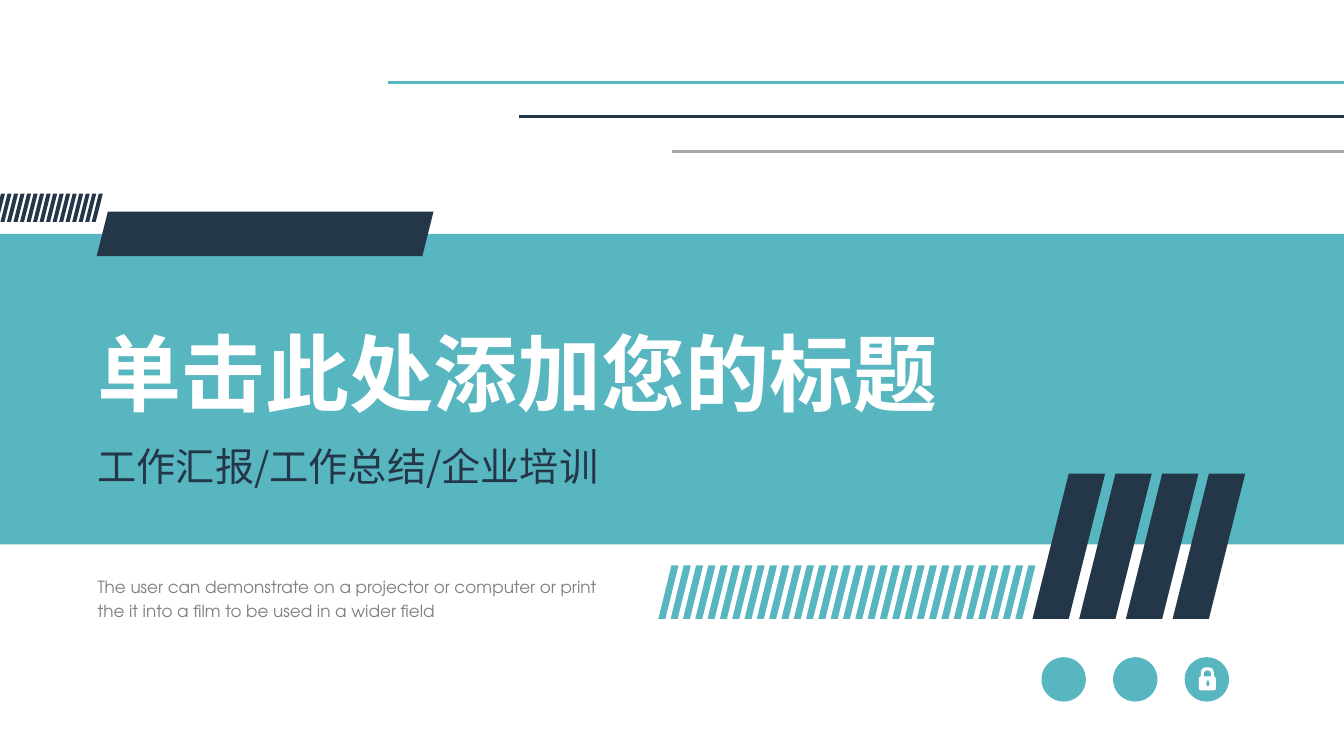
from lxml.etree import SubElement
from pptx import Presentation
from pptx.dml.color import RGBColor
from pptx.enum.shapes import MSO_CONNECTOR, MSO_SHAPE
from pptx.enum.text import MSO_AUTO_SIZE, PP_ALIGN
from pptx.oxml.ns import qn
from pptx.util import Inches, Pt

COLORS = {
    "teal": "58B6C0",
    "navy": "243748",
    "silver": "A6A6A6",
    "gray": "808080",
    "white": "FFFFFF",
}
CHINESE_FONT = "Noto Sans CJK SC"
LATIN_FONT = "TeX Gyre Adventor"
SLIDE_WIDTH, SLIDE_HEIGHT = 13.33, 7.5


def color(name):
    """Return the named colour of the palette."""
    return RGBColor.from_string(COLORS[name])


def paint(shape, fill):
    """Give a shape a flat fill without outline or shadow."""
    shape.shadow.inherit = False
    shape.fill.solid()
    shape.fill.fore_color.rgb = color(fill)
    shape.line.fill.background()


def add_block(slide, kind, box, fill):
    """Add a flat preset shape in the given box."""
    shape = slide.shapes.add_shape(kind, *(Inches(length) for length in box))
    paint(shape, fill)
    return shape


def add_stripes(slide, box, count, thickness, slant, fill):
    """Fill a box with evenly spaced slanted bars."""
    left, top, width, height = box
    pitch = (width - thickness - slant) / (count - 1)
    for index in range(count):
        foot = left + index * pitch
        corners = [
            (foot + slant, top),
            (foot + slant + thickness, top),
            (foot + thickness, top + height),
            (foot, top + height),
        ]
        points = [(Inches(x), Inches(y)) for x, y in corners]
        builder = slide.shapes.build_freeform(*points[0])
        builder.add_line_segments(points[1:], close=True)
        paint(builder.convert_to_shape(), fill)


def add_text(slide, box, text, size, font, fill, bold=False, align=None):
    """Add a one-paragraph text box."""
    text_box = slide.shapes.add_textbox(*(Inches(length) for length in box))
    frame = text_box.text_frame
    frame.word_wrap = True
    frame.auto_size = MSO_AUTO_SIZE.SHAPE_TO_FIT_TEXT
    paragraph = frame.paragraphs[0]
    paragraph.line_spacing = 1.2
    paragraph.alignment = align
    run = paragraph.add_run()
    run.text = text
    run.font.size = Pt(size)
    run.font.bold = bold
    run.font.color.rgb = color(fill)
    run.font.name = font
    SubElement(run.font._element, qn("a:ea"), typeface=font)


def add_header_lines(slide, box):
    """Draw three lines that reach the right edge of the box."""
    left, top, width, height = box
    lines = [(0, "teal"), (1.3, "navy"), (2.82, "silver")]
    for index, (indent, fill) in enumerate(lines):
        y = Inches(top + index * height / (len(lines) - 1))
        line = slide.shapes.add_connector(
            MSO_CONNECTOR.STRAIGHT, Inches(left + indent), y, Inches(left + width), y
        )
        line.line.color.rgb = color(fill)
        line.line.width = Pt(2.25)
        SubElement(line._element.spPr, qn("a:effectLst"))


def add_title_band(slide, box):
    """Draw the teal band with its tab, title and subtitle."""
    left, top, width, height = box
    add_block(slide, MSO_SHAPE.RECTANGLE, box, "teal")
    add_block(slide, MSO_SHAPE.PARALLELOGRAM, (left + 0.96, top - 0.22, 3.34, 0.44), "navy")
    add_stripes(slide, (left - 0.06, top - 0.4, 1.08, 0.28), 16, 0.04, 0.07, "navy")
    add_text(slide, (left + 0.87, top + 0.62, 9.6, 1.21), "单击此处添加您的标题",
             60, CHINESE_FONT, "white", bold=True, align=PP_ALIGN.JUSTIFY)
    add_text(slide, (left + 0.87, top + 1.93, 7.32, 0.62), "工作汇报/工作总结/企业培训",
             28, CHINESE_FONT, "navy", align=PP_ALIGN.JUSTIFY)


def add_footer(slide, box):
    """Place the caption and both stripe groups on the bottom of the box."""
    left, top, width, height = box
    bottom = top + height
    add_stripes(slide, (left + 9.37, top, 2.11, height), 4, 0.36, 0.36, "navy")
    add_stripes(slide, (left + 5.66, bottom - 0.53, 3.74, 0.53), 30, 0.07, 0.13, "teal")
    add_text(slide, (left, bottom - 0.51, 5.23, 0.56),
             "The user can demonstrate on a projector or computer or print "
             "the it into a film to be used in a wider field",
             12, LATIN_FONT, "gray")


def add_padlock(slide, box):
    """Draw a white padlock with a teal keyhole."""
    left, top, width, height = box
    arch = MSO_SHAPE.ROUND_2_SAME_RECTANGLE
    for inset, fill in ((0.02, "white"), (0.05, "teal")):
        bow = add_block(
            slide, arch,
            (left + inset, top + inset - 0.02, width - 2 * inset, 0.12 - inset), fill,
        )
        bow.adjustments[0] = 0.5
    add_block(slide, MSO_SHAPE.ROUNDED_RECTANGLE,
              (left, top + 0.09, width, height - 0.09), "white")
    add_block(slide, MSO_SHAPE.OVAL,
              (left + width / 2 - 0.01, top + 0.13, 0.03, 0.06), "teal")


def add_badges(slide, box):
    """Draw three round badges, the last one with a padlock."""
    left, top, width, height = box
    pitch = (width - height) / 2
    for index in range(3):
        add_block(slide, MSO_SHAPE.OVAL,
                  (left + index * pitch, top, height, height), "teal")
    add_padlock(slide, (left + width - 0.3, top + 0.1, 0.17, 0.23))


def main():
    """Build the cover slide and save it."""
    presentation = Presentation()
    presentation.slide_width = Inches(SLIDE_WIDTH)
    presentation.slide_height = Inches(SLIDE_HEIGHT)
    slide = presentation.slides.add_slide(presentation.slide_layouts[6])
    add_title_band(slide, (0, 2.32, SLIDE_WIDTH, 3.08))
    add_header_lines(slide, (3.85, 0.82, SLIDE_WIDTH - 3.85, 0.68))
    add_footer(slide, (0.87, 4.7, 11.48, 1.44))
    add_badges(slide, (10.33, 6.52, 1.86, 0.44))
    presentation.save("out.pptx")


if __name__ == "__main__":
    main()
